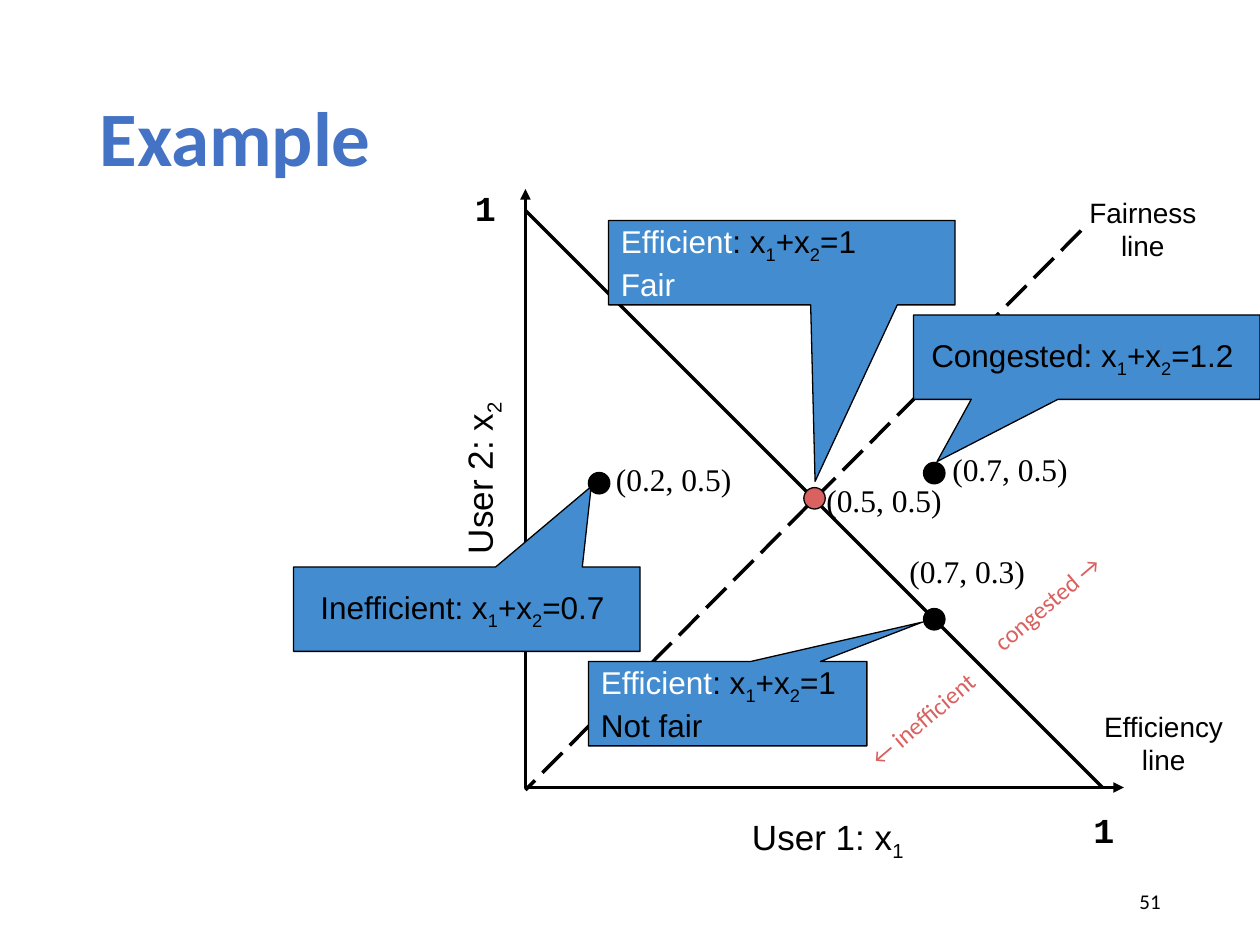
from lxml import etree
from pptx import Presentation
from pptx.dml.color import RGBColor
from pptx.enum.dml import MSO_LINE
from pptx.enum.shapes import MSO_CONNECTOR, MSO_SHAPE
from pptx.enum.text import MSO_ANCHOR, MSO_AUTO_SIZE, PP_ALIGN
from pptx.oxml.ns import qn
from pptx.util import Inches, Pt

LEFT, CENTER, RIGHT = PP_ALIGN.LEFT, PP_ALIGN.CENTER, PP_ALIGN.RIGHT
MIDDLE = MSO_ANCHOR.MIDDLE
STRAIGHT = MSO_CONNECTOR.STRAIGHT
CALLOUT, DOT = MSO_SHAPE.RECTANGULAR_CALLOUT, MSO_SHAPE.OVAL
LONG_DASH = MSO_LINE.LONG_DASH
FIT_SHAPE = MSO_AUTO_SIZE.SHAPE_TO_FIT_TEXT

COLORS = {"title": "4472C4", "ink": "000000", "callout": "438CCF",
          "accent": "D9615F", "light": "FFFFFF"}
DOT_SIZE = 0.17
SLOPE_ANGLE = 319.6


def rgb(name):
    return RGBColor.from_string(COLORS[name])


def inches(box):
    return [Inches(value) for value in box]


def style(paragraph, size, face, align=LEFT, color="ink", bold=False):
    paragraph.alignment = align
    font = paragraph.font
    font.size, font.name, font.bold = Pt(size), face, bold
    font.color.rgb = rgb(color)


def add_runs(paragraph, text, color=None):
    """Write text, setting the character after each underscore as a subscript."""
    head, *tails = text.split("_")
    pieces = [(head, False)]
    for tail in tails:
        pieces += [(tail[:1], True), (tail[1:], False)]
    for piece, lowered in pieces:
        if not piece:
            continue
        run = paragraph.add_run()
        run.text = piece
        if color:
            run.font.color.rgb = rgb(color)
        if lowered:
            run._r.get_or_add_rPr().set("baseline", "-25000")


def add_label(shapes, box, lines, size, face, align=LEFT, color="ink",
              bold=False, rotation=0):
    label = shapes.add_textbox(*inches(box))
    label.rotation = rotation
    frame = label.text_frame
    frame.word_wrap = False
    frame.auto_size = FIT_SHAPE
    for index, line in enumerate(lines):
        paragraph = frame.add_paragraph() if index else frame.paragraphs[0]
        add_runs(paragraph, line)
        style(paragraph, size, face, align, color, bold)


def add_line(shapes, start, end, dash=None, arrow=False):
    line = shapes.add_connector(STRAIGHT, *inches(start + end))
    line.line.color.rgb = rgb("ink")
    line.line.width = Pt(2)
    if dash:
        line.line.dash_style = dash
    properties = line._element.spPr
    if arrow:
        etree.SubElement(properties.find(qn("a:ln")), qn("a:tailEnd"), type="triangle")
    etree.SubElement(properties, qn("a:effectLst"))


def add_filled(shapes, kind, box, fill):
    shape = shapes.add_shape(kind, *inches(box))
    shape.shadow.inherit = False
    shape.fill.solid()
    shape.fill.fore_color.rgb = rgb(fill)
    shape.line.color.rgb = rgb("ink")
    shape.line.width = Pt(0.75)
    return shape


def add_callout(shapes, box, tip, lines, align):
    """Draw a callout; each line is a list of (text, color) parts."""
    callout = add_filled(shapes, CALLOUT, box, "callout")
    callout.adjustments[0], callout.adjustments[1] = tip
    frame = callout.text_frame
    frame.word_wrap = True
    frame.vertical_anchor = MIDDLE
    for index, parts in enumerate(lines):
        paragraph = frame.add_paragraph() if index else frame.paragraphs[0]
        for text, color in parts:
            add_runs(paragraph, text, color)
        style(paragraph, 18, "Arial", align)


def add_allocation(slide, dot, coordinates, label, box, tip, lines,
                   align=LEFT, fill="ink"):
    """Group a point of the plot with its coordinates and callout."""
    shapes = slide.shapes.add_group_shape().shapes
    add_callout(shapes, box, tip, lines, align)
    add_filled(shapes, DOT, (*dot, DOT_SIZE, DOT_SIZE), fill)
    add_label(shapes, (*label, 1.13, 0.4), [coordinates], 18, "Times New Roman")


def add_title(slide, box):
    title = slide.shapes.title
    title.left, title.top, title.width, title.height = inches(box)
    title.text_frame.text = "Example"
    title.text_frame.vertical_anchor = MIDDLE
    paragraph = title.text_frame.paragraphs[0]
    paragraph.line_spacing = 0.9
    style(paragraph, 44, "Calibri", LEFT, "title", True)


def add_plot(slide, left, top, side):
    """Draw the axes, the fairness and efficiency lines and their labels."""
    shapes = slide.shapes
    bottom, right = top + side, left + side
    unit = side - 0.17
    origin = (left, bottom)
    add_line(shapes, origin, (left, top), arrow=True)
    add_line(shapes, origin, (right, bottom), arrow=True)
    add_line(shapes, (left + 4.41, top + 0.33), (left, bottom + 0.02), dash=LONG_DASH)
    add_line(shapes, (left, bottom - unit), (left + unit, bottom))

    add_label(shapes, (left + 1.69, bottom + 0.17, 1.42, 0.43),
              ["User 1: x_1"], 20, "Arial", CENTER)
    add_label(shapes, (left - 1.08, top + 2.08, 1.42, 0.43),
              ["User 2: x_2"], 20, "Arial", CENTER, rotation=270)
    add_label(shapes, (right - 0.38, top, 1.06, 0.64),
              ["Fairness", "line"], 16, "Arial", CENTER)
    add_label(shapes, (right - 0.26, bottom - 0.67, 1.15, 0.64),
              ["Efficiency", "line"], 16, "Arial", CENTER)
    for x, y in ((right - 0.34, bottom + 0.12), (left - 0.5, top - 0.07)):
        add_label(shapes, (x, y, 0.34, 0.4), ["1"], 20, "Courier New", bold=True)
    for x, y, width, text in ((left + 3.51, top + 3.12, 1.25, "congested →"),
                              (left + 2.51, top + 4.04, 1.28, "← inefficient")):
        add_label(shapes, (x, y, width, 0.33), [text], 14, "Calibri", CENTER,
                  "accent", rotation=SLOPE_ANGLE)


def add_allocations(slide, left, top):
    efficient = [("Efficient", "light"), (": x_1+x_2=1", "ink")]
    add_allocation(slide, (left + 0.5, top + 2.25), "(0.2, 0.5)",
                   (left + 0.62, top + 2.1),
                   (left - 1.84, top + 3, 2.75, 0.67), (0.359, -1.453),
                   [[("Inefficient: x_1+x_2=0.7 ", "ink")]], CENTER)
    add_allocation(slide, (left + 3.16, top + 2.17), "(0.7, 0.5)",
                   (left + 3.29, top + 2.02),
                   (left + 3.08, top + 1, 2.75, 0.67), (-0.432, 1.237),
                   [[("Congested: x_1+x_2=1.2 ", "ink")]], CENTER)
    add_allocation(slide, (left + 2.21, top + 2.37), "(0.5, 0.5)",
                   (left + 2.29, top + 2.27),
                   (left + 0.66, top + 0.25, 2.75, 0.67), (0.096, 2.591),
                   [efficient, [("Fair", "light")]], fill="accent")
    add_allocation(slide, (left + 3.16, top + 3.33), "(0.7, 0.3)",
                   (left + 2.95, top + 2.83),
                   (left + 0.5, top + 3.75, 2.21, 0.67), (0.7, -0.967),
                   [efficient, [("Not fair", "ink")]])


def add_page_number(slide, box):
    number = slide.shapes.add_textbox(*inches(box))
    frame = number.text_frame
    frame.text = "51"
    frame.word_wrap = True
    frame.vertical_anchor = MIDDLE
    style(frame.paragraphs[0], 12, "Calibri", RIGHT)


def main():
    deck = Presentation()
    deck.slide_width, deck.slide_height = Inches(10), Inches(7.5)
    slide = deck.slides.add_slide(deck.slide_layouts[5])
    add_title(slide, (0.69, 0.4, 8.62, 1.45))
    add_plot(slide, 4.17, 1.5, 4.75)
    add_allocations(slide, 4.17, 1.5)
    add_page_number(slide, (7.06, 6.95, 2.25, 0.4))
    deck.save("out.pptx")


if __name__ == "__main__":
    main()
